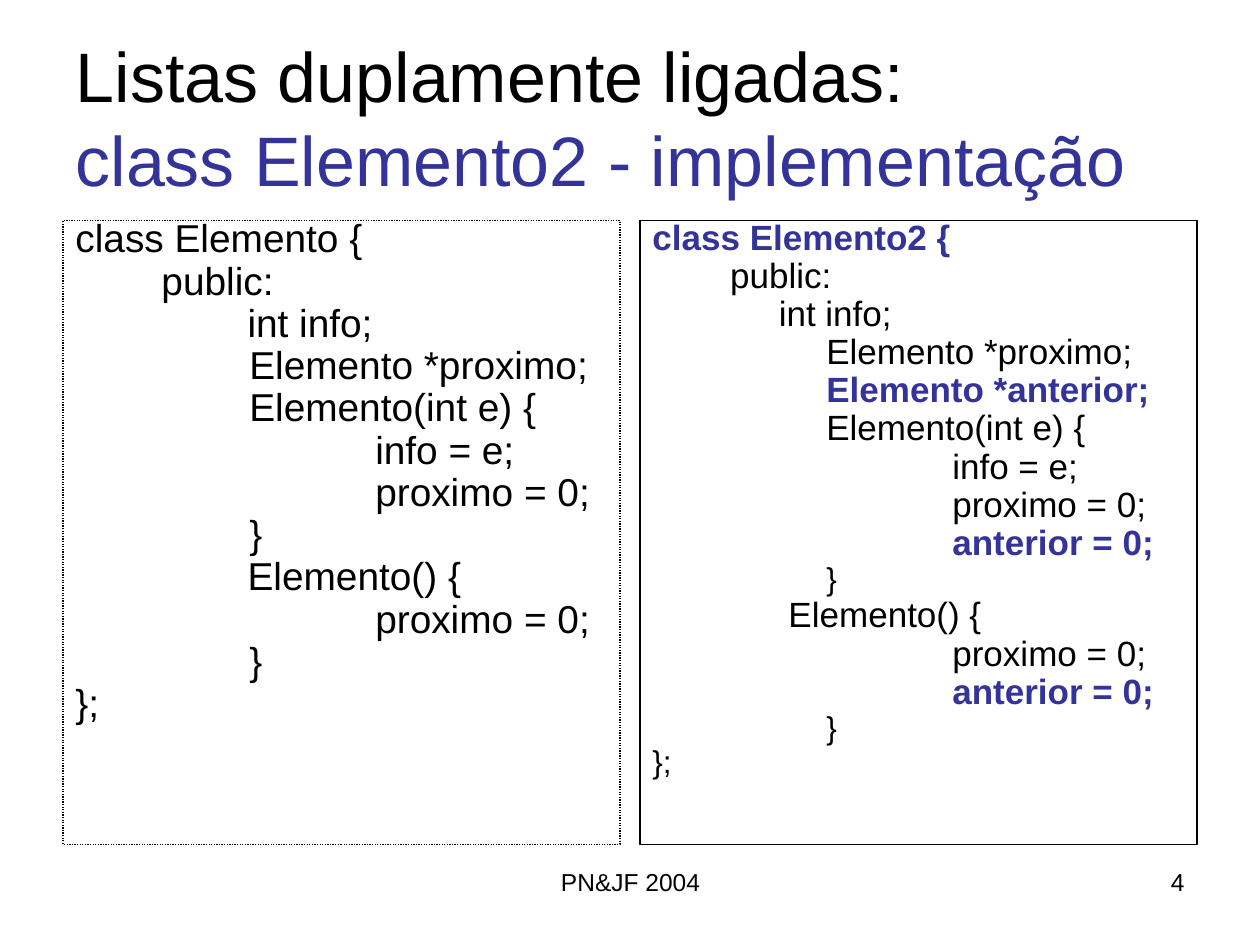
from lxml.etree import SubElement
from pptx import Presentation
from pptx.dml.color import RGBColor
from pptx.enum.dml import MSO_LINE
from pptx.enum.text import MSO_ANCHOR, MSO_AUTO_SIZE, PP_ALIGN
from pptx.oxml.ns import qn
from pptx.util import Inches, Pt

BLACK = RGBColor(0x00, 0x00, 0x00)
BLUE = RGBColor(0x33, 0x33, 0x99)
FONT = "Arial"

TITLE = [("Listas duplamente ligadas: ", BLACK),
         ("class Elemento2 - implementação", BLUE)]

SINGLE_LINKED = [
    "class Elemento {",
    "        public:",
    "                int info;",
    "\t\tElemento *proximo;",
    "\t\tElemento(int e) {",
    "\t\t\tinfo = e;",
    "\t\t\tproximo = 0;",
    "\t\t}",
    "                Elemento() {",
    "\t\t\tproximo = 0;",
    "\t\t}",
    "};",
]
DOUBLE_LINKED = [
    "class Elemento2 {",
    "        public:",
    "             int info;",
    "\t\tElemento *proximo;",
    "\t\tElemento *anterior;",
    "\t\tElemento(int e) {",
    "\t\t\tinfo = e;",
    "\t\t\tproximo = 0;",
    "\t\t\tanterior = 0;",
    "\t\t}",
    "              Elemento() {",
    "\t\t\tproximo = 0;",
    "\t\t\tanterior = 0;",
    "\t\t}",
    "};",
]
NEW_LINES = {"class Elemento2 {", "Elemento *anterior;", "anterior = 0;"}
CLOSING_LINES = {"}", "};"}

# code lines, left, text size, closing brace size, border dash
PANELS = [
    (SINGLE_LINKED, 0.5, 22.2, 22.2, MSO_LINE.ROUND_DOT),
    (DOUBLE_LINKED, 5.08, 20, 18, MSO_LINE.SOLID),
]
# text, left, width, alignment
FOOTERS = [
    ("PN&JF 2004", 3.42, 3.17, PP_ALIGN.CENTER),
    ("4", 7.17, 2.33, PP_ALIGN.RIGHT),
]


def add_span(para, text, size, color=BLACK, bold=False):
    span = para.add_run()
    span.text = text
    span.font.name = FONT
    span.font.size = Pt(size)
    span.font.bold = bold
    span.font.color.rgb = color


def add_box(page, left, top, width, height):
    box = page.shapes.add_textbox(Inches(left), Inches(top), Inches(width), Inches(height))
    box.text_frame.word_wrap = True
    return box


def set_code_indent(para):
    """Hanging indent with a tab stop at every inch."""
    properties = para._p.get_or_add_pPr()
    properties.set("marL", str(Inches(0.38)))
    properties.set("indent", str(-Inches(0.38)))
    properties.set("defTabSz", str(Inches(1)))
    tabs = SubElement(properties, qn("a:tabLst"))
    for inch in range(8):
        SubElement(tabs, qn("a:tab"), pos=str(Inches(inch)), algn="l")


def add_title(page):
    title = page.shapes.title
    title.left, title.top = Inches(0.5), Inches(0.3)
    title.width, title.height = Inches(9), Inches(1.25)
    frame = title.text_frame
    frame.auto_size = MSO_AUTO_SIZE.NONE
    frame.vertical_anchor = MSO_ANCHOR.MIDDLE
    para = frame.paragraphs[0]
    para.alignment = PP_ALIGN.LEFT
    for index, (text, color) in enumerate(TITLE):
        if index:
            para.add_line_break()
        add_span(para, text, 40, color)


def add_panel(page, lines, left, size, closing_size, dash):
    box = add_box(page, left, 1.75, 4.42, 4.95)
    box.line.color.rgb = BLACK
    box.line.width = Pt(0.75)
    box.line.dash_style = dash
    frame = box.text_frame
    for index, line in enumerate(lines):
        para = frame.add_paragraph() if index else frame.paragraphs[0]
        set_code_indent(para)
        para.line_spacing = 0.7
        code = line.strip()
        line_size = closing_size if code in CLOSING_LINES else size
        if index:
            para.space_before = Pt(round(line_size / 4 * 2) / 2)
        is_new = code in NEW_LINES
        add_span(para, line, line_size, BLUE if is_new else BLACK, is_new)


def main():
    deck = Presentation()
    deck.slide_width, deck.slide_height = Inches(10), Inches(7.5)
    page = deck.slides.add_slide(deck.slide_layouts[5])
    add_title(page)
    for panel in PANELS:
        add_panel(page, *panel)
    for text, left, width, alignment in FOOTERS:
        para = add_box(page, left, 6.83, width, 0.52).text_frame.paragraphs[0]
        para.alignment = alignment
        add_span(para, text, 14)
    deck.save("out.pptx")


if __name__ == "__main__":
    main()
